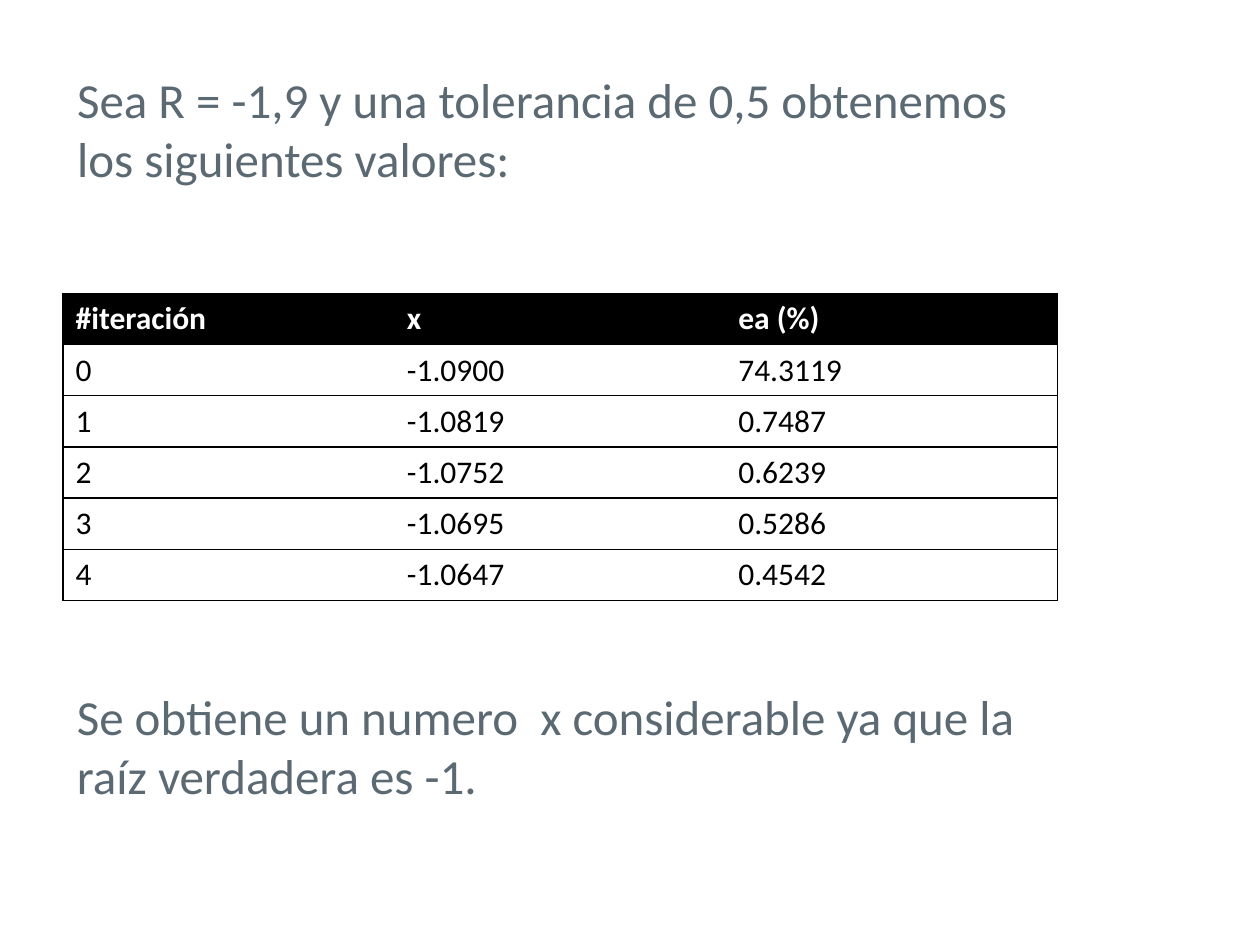
import dataclasses

import lxml.etree
import pptx
import pptx.dml.color
import pptx.enum.text
import pptx.oxml.ns
import pptx.util
from pptx.util import Cm


@dataclasses.dataclass(frozen=True)
class Theme:
    font: str = "Calibri"
    slate: str = "5B6973"
    black: str = "000000"
    white: str = "FFFFFF"
    statement_size: int = 28
    table_size: int = 18
    border: float = 0.75


THEME = Theme()

HEADER = ["#iteración", "x", "ea (%)"]
ITERATIONS = [
    ["0", "-1.0900", "74.3119"],
    ["1", "-1.0819", "0.7487"],
    ["2", "-1.0752", "0.6239"],
    ["3", "-1.0695", "0.5286"],
    ["4", "-1.0647", "0.4542"],
]


def rgb(color):
    return pptx.dml.color.RGBColor.from_string(color)


def add_run(p, text, size, color, bold=False):
    r = p.add_run()
    r.text = text
    r.font.name = THEME.font
    r.font.size = pptx.util.Pt(size)
    r.font.bold = bold
    r.font.color.rgb = rgb(color)


def place_statement(sp, box, text):
    sp.left, sp.top, sp.width, sp.height = box
    tf = sp.text_frame
    tf.word_wrap = True
    tf.auto_size = pptx.enum.text.MSO_AUTO_SIZE.NONE
    tf.vertical_anchor = pptx.enum.text.MSO_ANCHOR.TOP
    p = tf.paragraphs[0]
    p.alignment = pptx.enum.text.PP_ALIGN.LEFT
    p.line_spacing = 1.0
    p.space_before = pptx.util.Pt(0)
    add_run(p, text, THEME.statement_size, THEME.slate)


def set_borders(cell, visible):
    qn = pptx.oxml.ns.qn
    tc_pr = cell._tc.get_or_add_tcPr()
    for side in "LRTB":
        ln = lxml.etree.SubElement(tc_pr, qn(f"a:ln{side}"))
        if side in visible:
            ln.set("w", str(pptx.util.Pt(THEME.border)))
            fill = lxml.etree.SubElement(ln, qn("a:solidFill"))
            lxml.etree.SubElement(fill, qn("a:srgbClr"), val=THEME.black)
        else:
            lxml.etree.SubElement(ln, qn("a:noFill"))


def place_iterations(s, box):
    rows = [HEADER] + ITERATIONS
    left, top, width, height = box
    table = s.shapes.add_table(len(rows), len(HEADER), left, top, width, height).table
    table.horz_banding = False
    for column in table.columns:
        column.width = width // len(HEADER)
    for i, values in enumerate(rows):
        table.rows[i].height = height // len(rows)
        ink, paper = (THEME.white, THEME.black) if i == 0 else (THEME.black, THEME.white)
        for j, value in enumerate(values):
            cell = table.cell(i, j)
            sides = "TB" + ("L" if j == 0 else "") + ("R" if j == len(HEADER) - 1 else "")
            set_borders(cell, sides)
            cell.fill.solid()
            cell.fill.fore_color.rgb = rgb(paper)
            add_run(cell.text_frame.paragraphs[0], value, THEME.table_size, ink, i == 0)


def build_results_slide(prs):
    s = prs.slides.add_slide(prs.slide_layouts[5])
    s.background.fill.solid()
    s.background.fill.fore_color.rgb = rgb(THEME.white)
    title_box = Cm(1.3), Cm(1.27), Cm(20.1), Cm(3.25)
    closing_box = Cm(1.3), Cm(13.72), Cm(20.1), Cm(3.25)
    place_statement(
        s.shapes.title,
        title_box,
        "Sea R = -1,9 y una tolerancia de 0,5 obtenemos los siguientes valores:",
    )
    place_iterations(s, (Cm(1.27), Cm(5.92), Cm(20.04), Cm(6.18)))
    place_statement(
        s.shapes.add_textbox(*closing_box),
        closing_box,
        "Se obtiene un numero  x considerable ya que la raíz verdadera es -1.",
    )


def main():
    prs = pptx.Presentation()
    prs.slide_width, prs.slide_height = Cm(25.4), Cm(19.05)
    build_results_slide(prs)
    prs.save("out.pptx")


if __name__ == "__main__":
    main()
